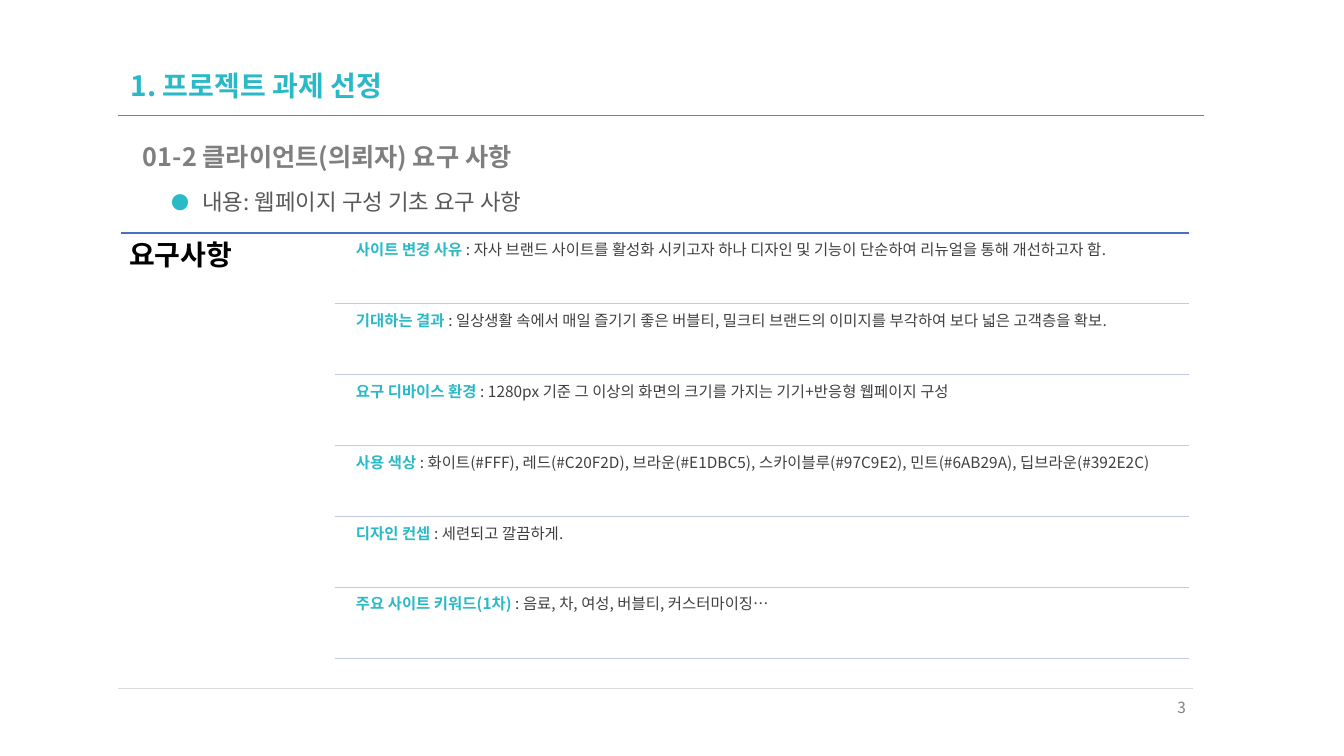
from lxml.etree import SubElement
from pptx import Presentation
from pptx.dml.color import RGBColor
from pptx.enum.shapes import MSO_CONNECTOR
from pptx.enum.text import MSO_ANCHOR, PP_ALIGN
from pptx.oxml.ns import qn
from pptx.util import Inches, Pt

FONT = "Noto Sans CJK KR"
TEAL, BLACK, GREY, BODY = "2AB9C7", "000000", "7F7F7F", "404040"
HEADER_RULE, FOOTER_RULE, LIST_RULE, ROW_RULE = "7F7F7F", "D9D9D9", "4472C4", "C1C9E4"

LIST_LEFT, LIST_RIGHT, LIST_TOP = 1.2, 11.79, 2.31
ROW_LEFT, ROW_PITCH = 3.32, 0.704

REQUIREMENTS = [
    ("사이트 변경 사유 ", ": 자사 브랜드 사이트를 활성화 시키고자 하나 디자인 및 기능이 단순하여 리뉴얼을 통해 개선하고자 함."),
    ("기대하는 결과 ", ": 일상생활 속에서 매일 즐기기 좋은 버블티, 밀크티 브랜드의 이미지를 부각하여 보다 넓은 고객층을 확보."),
    ("요구 디바이스 환경 ", ": 1280px 기준 그 이상의 화면의 크기를 가지는 기기+반응형 웹페이지 구성"),
    ("사용 색상 ", ": 화이트(#FFF), 레드(#C20F2D), 브라운(#E1DBC5), 스카이블루(#97C9E2), 민트(#6AB29A), 딥브라운(#392E2C)"),
    ("디자인 컨셉 ", ": 세련되고 깔끔하게."),
    ("주요 사이트 키워드(1차) ", ": 음료, 차, 여성, 버블티, 커스터마이징…"),
]


def color(hex_code):
    return RGBColor.from_string(hex_code)


def add_rule(slide, left, right, y, hex_code, width):
    rule = slide.shapes.add_connector(
        MSO_CONNECTOR.STRAIGHT, Inches(left), Inches(y), Inches(right), Inches(y))
    rule.line.color.rgb = color(hex_code)
    rule.line.width = Pt(width)
    SubElement(rule._element.spPr, qn("a:effectLst"))


def style_run(run, size, hex_code, bold):
    run.font.size = Pt(size)
    run.font.bold = bold
    run.font.name = FONT
    run.font.color.rgb = color(hex_code)
    # Hangul takes the East Asian font
    SubElement(run._r.get_or_add_rPr(), qn("a:ea")).set("typeface", FONT)


def add_text(slide, box, pieces, size, margins=(0.1, 0.05), anchor=MSO_ANCHOR.TOP):
    """Add one paragraph made of (text, colour, bold) pieces and return it."""
    frame = slide.shapes.add_textbox(*(Inches(length) for length in box)).text_frame
    frame.word_wrap = True
    frame.vertical_anchor = anchor
    frame.margin_left = frame.margin_right = Inches(margins[0])
    frame.margin_top = frame.margin_bottom = Inches(margins[1])
    paragraph = frame.paragraphs[0]
    paragraph.line_spacing = 0.9
    for text, hex_code, bold in pieces:
        run = paragraph.add_run()
        run.text = text
        style_run(run, size, hex_code, bold)
    return paragraph


def add_bullet(paragraph, hex_code):
    properties = paragraph._p.get_or_add_pPr()
    properties.set("marL", str(Inches(0.31)))
    properties.set("indent", str(-Inches(0.31)))
    bullet_color = SubElement(properties, qn("a:buClr"))
    SubElement(bullet_color, qn("a:srgbClr")).set("val", hex_code)
    SubElement(properties, qn("a:buSzPct")).set("val", "80000")
    SubElement(properties, qn("a:buFont")).set("typeface", FONT)
    SubElement(properties, qn("a:buChar")).set("char", "●")


def add_headings(slide):
    add_text(slide, (1.2, 0.62, 10.78, 0.49),
             [("1. 프로젝트 과제 선정", TEAL, True)], 20, anchor=MSO_ANCHOR.MIDDLE)
    section = add_text(slide, (1.32, 1.39, 10.66, 0.34),
                       [("01-2 클라이언트(의뢰자) 요구 사항", GREY, True)], 18)
    summary = add_text(slide, (1.6, 1.85, 10.38, 0.34),
                       [("내용: 웹페이지 구성 기초 요구 사항", "595959", False)], 16)
    for paragraph in (section, summary):
        paragraph.space_before = Pt(10)
    add_bullet(summary, TEAL)


def add_requirements(slide):
    add_rule(slide, LIST_LEFT, LIST_RIGHT, LIST_TOP, LIST_RULE, 1)
    add_text(slide, (LIST_LEFT, LIST_TOP, 2.12, 4.28),
             [("요구사항", BLACK, True)], 20, (0.08, 0.08))
    for index, (label, detail) in enumerate(REQUIREMENTS):
        top = LIST_TOP + 0.04 + index * ROW_PITCH
        add_text(slide, (ROW_LEFT + 0.16, top, 8.31, 0.66),
                 [(label, TEAL, True), (detail, BODY, False)], 11, (0.05, 0.05))
        add_rule(slide, ROW_LEFT, LIST_RIGHT, top + 0.66, ROW_RULE, 1)


def main():
    presentation = Presentation()
    presentation.slide_width = Inches(13.33)
    presentation.slide_height = Inches(7.5)
    slide = presentation.slides.add_slide(presentation.slide_layouts[6])

    # Header and footer rules
    add_rule(slide, 1.17, 11.94, 1.14, HEADER_RULE, 0.5)
    add_rule(slide, 1.17, 11.83, 6.83, FOOTER_RULE, 0.5)

    # Content
    add_headings(slide)
    add_requirements(slide)

    # Page number
    page_number = add_text(slide, (11.27, 6.88, 0.59, 0.4), [("3", "808080", False)], 11)
    page_number.line_spacing = 1.0
    page_number.alignment = PP_ALIGN.RIGHT

    presentation.save("out.pptx")


if __name__ == "__main__":
    main()
